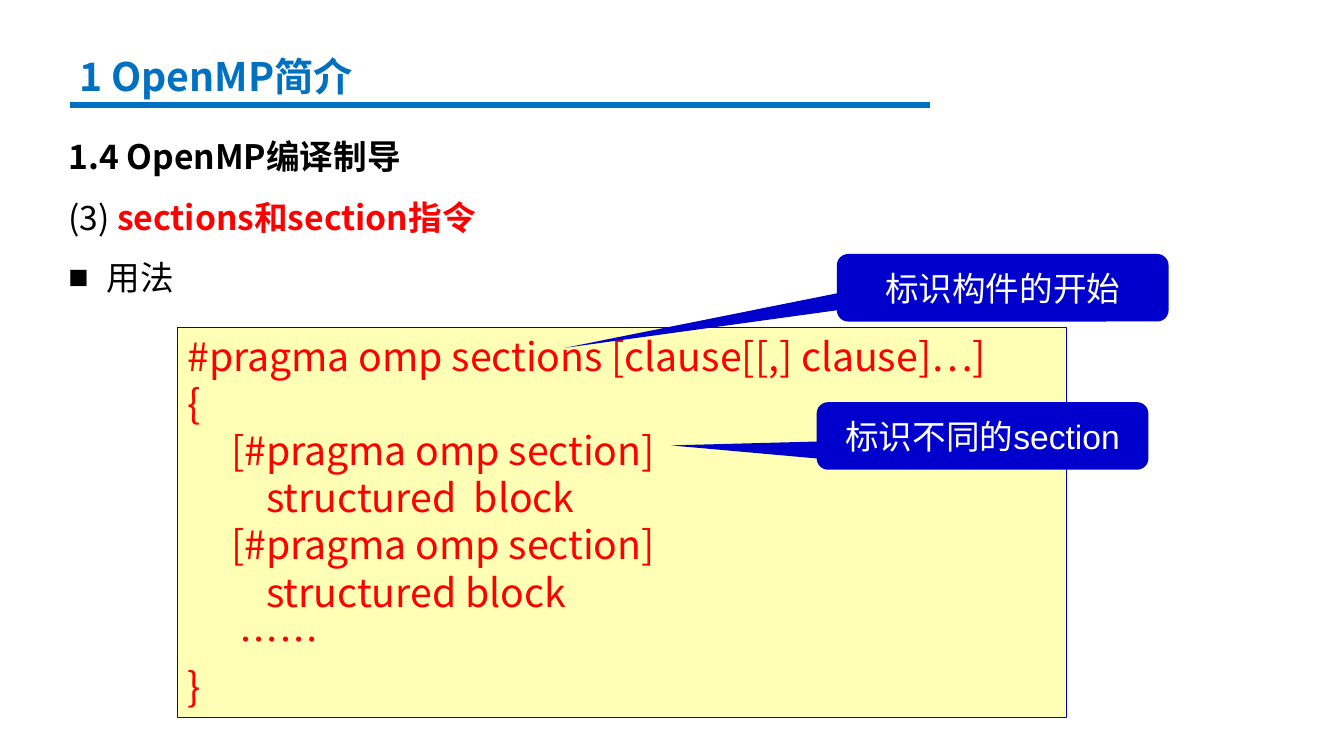
from lxml import etree
from pptx import Presentation, util as u
from pptx.dml.color import RGBColor
from pptx.enum import shapes, text
from pptx.oxml import ns

BLUE = RGBColor(0x00, 0x70, 0xC0)
NAVY = RGBColor(0x00, 0x00, 0xCC)
RED = RGBColor(0xFF, 0x00, 0x00)
BLACK = RGBColor(0x00, 0x00, 0x00)
WHITE = RGBColor(0xFF, 0xFF, 0xFF)
CREAM = RGBColor(0xFF, 0xFF, 0xB5)
SANS = "Noto Sans CJK SC"
WIDTH, HEIGHT = 13.33, 7.5
CODE_STEP = 0.087


def inches(*lengths):
    return [u.Inches(length) for length in lengths]


def write(para, words, size=24, color=BLACK, bold=False, font=SANS):
    span = para.add_run()
    span.text = words
    span.font.size = u.Pt(size)
    span.font.bold = bold
    span.font.name = font
    span.font.color.rgb = color
    east = etree.SubElement(span.font._element, ns.qn("a:ea"))
    east.set("typeface", SANS)


def next_para(frame, index):
    return frame.add_paragraph() if index else frame.paragraphs[0]


def add_panel(page, kind, box, fill):
    panel = page.shapes.add_shape(kind, *inches(*box))
    panel.shadow.inherit = False
    panel.fill.solid()
    panel.fill.fore_color.rgb = fill
    panel.line.fill.background()
    panel.text_frame.word_wrap = True
    return panel


def add_title(page, box, rule_width):
    left, top, width, height = box
    rule = page.shapes.add_connector(
        shapes.MSO_CONNECTOR.STRAIGHT,
        *inches(left, top + height, left + rule_width, top + height))
    rule.line.color.rgb = BLUE
    rule.line.width = u.Pt(4.5)
    etree.SubElement(rule._element.spPr, ns.qn("a:effectLst"))
    title = page.shapes.add_textbox(*inches(*box))
    title.text_frame.word_wrap = True
    write(title.text_frame.paragraphs[0], "1 OpenMP简介", size=28, color=BLUE, bold=True)


def add_body(page, box):
    frame = page.shapes.add_textbox(*inches(*box)).text_frame
    frame.word_wrap = True
    lines = [
        [("1.4 OpenMP编译制导", BLACK, True)],
        [("(3) ", BLACK, False), ("sections和section指令", RED, True)],
        [("用法", BLACK, False)],
    ]
    for index, spans in enumerate(lines):
        para = next_para(frame, index)
        para.alignment = text.PP_ALIGN.JUSTIFY
        para.line_spacing = 1.5
        for words, color, bold in spans:
            write(para, words, color=color, bold=bold)
    add_bullet(para, 0.38)


def add_bullet(para, indent):
    props = para._p.get_or_add_pPr()
    props.set("marL", str(u.Inches(indent)))
    props.set("indent", str(-u.Inches(indent)))
    etree.SubElement(props, ns.qn("a:buFont")).set("typeface", "Arial")
    etree.SubElement(props, ns.qn("a:buChar")).set("char", "■")


def add_code(page, box):
    panel = add_panel(page, shapes.MSO_SHAPE.RECTANGLE, box, CREAM)
    panel.line.color.rgb = NAVY
    panel.line.width = u.Pt(0.75)
    frame = panel.text_frame
    frame.vertical_anchor = text.MSO_ANCHOR.TOP
    lines = [
        (0, "#pragma omp sections [clause[[,] clause]…]"),
        (0, "{"),
        (5, "[#pragma omp section]"),
        (9, "structured  block"),
        (5, "[#pragma omp section]"),
        (9, "structured block"),
        (6, "……"),
        (0, "}"),
    ]
    for index, (steps, words) in enumerate(lines):
        para = next_para(frame, index)
        para.alignment = text.PP_ALIGN.LEFT
        props = para._p.get_or_add_pPr()
        props.set("marL", str(u.Inches(steps * CODE_STEP)))
        props.set("indent", "0")
        write(para, words, size=28, color=RED)


def add_callout(page, box, tip, words):
    kind = shapes.MSO_SHAPE.ROUNDED_RECTANGULAR_CALLOUT
    callout = add_panel(page, kind, box, NAVY)
    callout.adjustments[0], callout.adjustments[1] = tip
    callout.adjustments[2] = 0.167
    callout.text_frame.vertical_anchor = text.MSO_ANCHOR.MIDDLE
    para = callout.text_frame.paragraphs[0]
    para.alignment = text.PP_ALIGN.CENTER
    write(para, words, color=WHITE, font="Arial")


def main():
    deck = Presentation()
    deck.slide_width, deck.slide_height = inches(WIDTH, HEIGHT)
    page = deck.slides.add_slide(deck.slide_layouts[6])
    add_title(page, (0.69, 0.47, 3.44, 0.57), rule_width=8.53)
    add_body(page, (0.58, 1.1, 12.29, 1.82))
    add_code(page, (1.76, 3.25, 8.82, 3.87))
    add_callout(page, (8.3, 2.52, 3.29, 0.67), (-1.32, 0.89), "标识构件的开始")
    add_callout(page, (8.1, 3.99, 3.29, 0.67), (-0.94, 0.14), "标识不同的section")
    deck.save("out.pptx")


if __name__ == "__main__":
    main()
